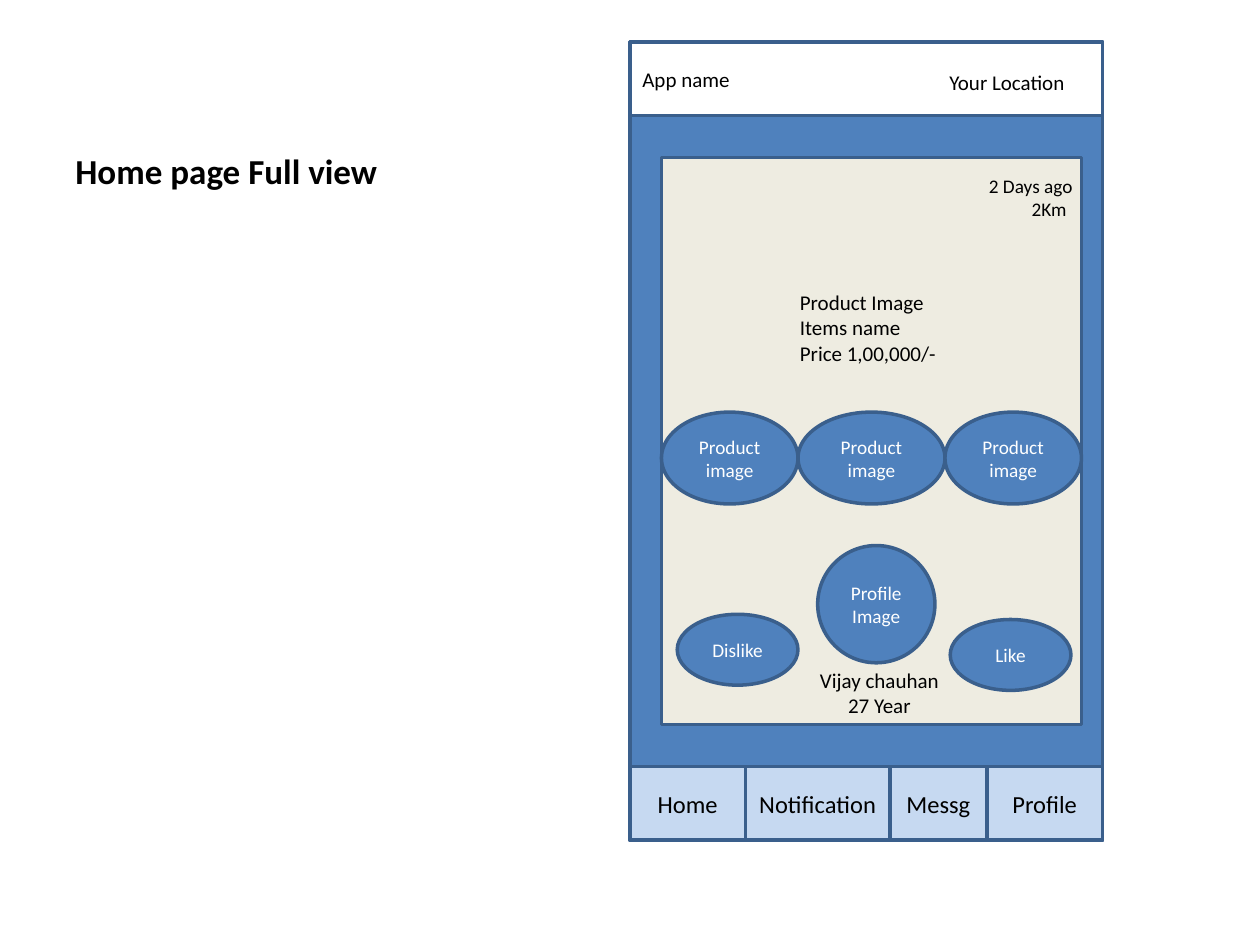
from pptx import Presentation
from pptx.dml.color import RGBColor
from pptx.enum import shapes, text
from pptx.util import Pt

BLUE = RGBColor(0x4F, 0x81, 0xBD)
EDGE = RGBColor(0x3A, 0x5F, 0x8C)
PALE = RGBColor(0xC6, 0xD9, 0xF1)
CREAM = RGBColor(0xEE, 0xEC, 0xE1)
WHITE = RGBColor(0xFF, 0xFF, 0xFF)
BLACK = RGBColor(0, 0, 0)
RECT, OVAL = shapes.MSO_SHAPE.RECTANGLE, shapes.MSO_SHAPE.OVAL
LEFT, CENTER, RIGHT = text.PP_ALIGN.LEFT, text.PP_ALIGN.CENTER, text.PP_ALIGN.RIGHT
TOP, MIDDLE, BOTTOM = text.MSO_ANCHOR.TOP, text.MSO_ANCHOR.MIDDLE, text.MSO_ANCHOR.BOTTOM

prs = Presentation()
prs.slide_width, prs.slide_height = Pt(720), Pt(540)
s = prs.slides.add_slide(prs.slide_layouts[6])


def write(sp, lines, size, color=BLACK, align=LEFT, anchor=TOP, bold=False):
    tf = sp.text_frame
    tf.word_wrap = True
    tf.vertical_anchor = anchor
    tf.text = lines
    for p in tf.paragraphs:
        p.alignment = align
        p.font.name, p.font.size, p.font.bold = "Calibri", Pt(size), bold
        p.font.color.rgb = color
    return tf


def add_box(kind, x, y, w, h, fill=None):
    """Add an outlined shape, or a text box when kind is None."""
    place = Pt(x), Pt(y), Pt(w), Pt(h)
    if kind is None:
        return s.shapes.add_textbox(*place)
    sp = s.shapes.add_shape(kind, *place)
    sp.shadow.inherit = False
    sp.fill.solid()
    sp.fill.fore_color.rgb = fill
    sp.line.color.rgb = EDGE
    sp.line.width = Pt(2)
    return sp


write(add_box(None, 36, 21.6, 237, 91.4), "Home page Full view", 20, anchor=BOTTOM, bold=True)

# Phone frame, header and navigation bar
PHONE_X, PHONE_Y, PHONE_W, PHONE_H, BAR_H = 360, 24, 270, 456, 42
NAV_Y = PHONE_Y + PHONE_H - BAR_H
add_box(RECT, PHONE_X, PHONE_Y, PHONE_W, PHONE_H, BLUE)
add_box(RECT, PHONE_X, NAV_Y, PHONE_W, BAR_H, WHITE)
header = add_box(RECT, PHONE_X, PHONE_Y, PHONE_W, BAR_H, WHITE)
write(header, "App name", 12, anchor=MIDDLE)
x = PHONE_X
for label, w in (("Home", 66), ("Notification", 82.5), ("Messg", 55.5), ("Profile", 66)):
    tab = add_box(RECT, x, NAV_Y, w, BAR_H, PALE)
    write(tab, label, 14, align=CENTER, anchor=MIDDLE)
    x += w
write(add_box(None, 522, 36, 96, 21.8), "Your Location ", 12, align=RIGHT)

# Product card
CARD_X = 378
add_box(RECT, CARD_X, 90, 240, 324, CREAM)
tf = write(add_box(None, 558, 96, 66, 34), "2 Days ago\n2Km", 11)
tf.paragraphs[1]._p.get_or_add_pPr().set("marL", str(Pt(24.5)))
write(add_box(None, 450, 162, 99, 51), "Product Image\nItems name\nPrice 1,00,000/-", 12)
write(add_box(None, 453, 378, 99, 36), "Vijay chauhan\n27 Year", 12, align=CENTER)

ovals = [
    ("Dislike", 387, 351, 69, 40.5),
    ("Like", 543, 354, 69, 40.5),
    ("Profile Image", 467.25, 311.75, 67, 67),
]
x = CARD_X
for w in (78, 84, 78):
    ovals.append(("Product\nimage", x, 235.5, w, 52.5))
    x += w
for label, x, y, w, h in ovals:
    write(add_box(OVAL, x, y, w, h, BLUE), label, 11, WHITE, CENTER, MIDDLE)

prs.save("out.pptx")
